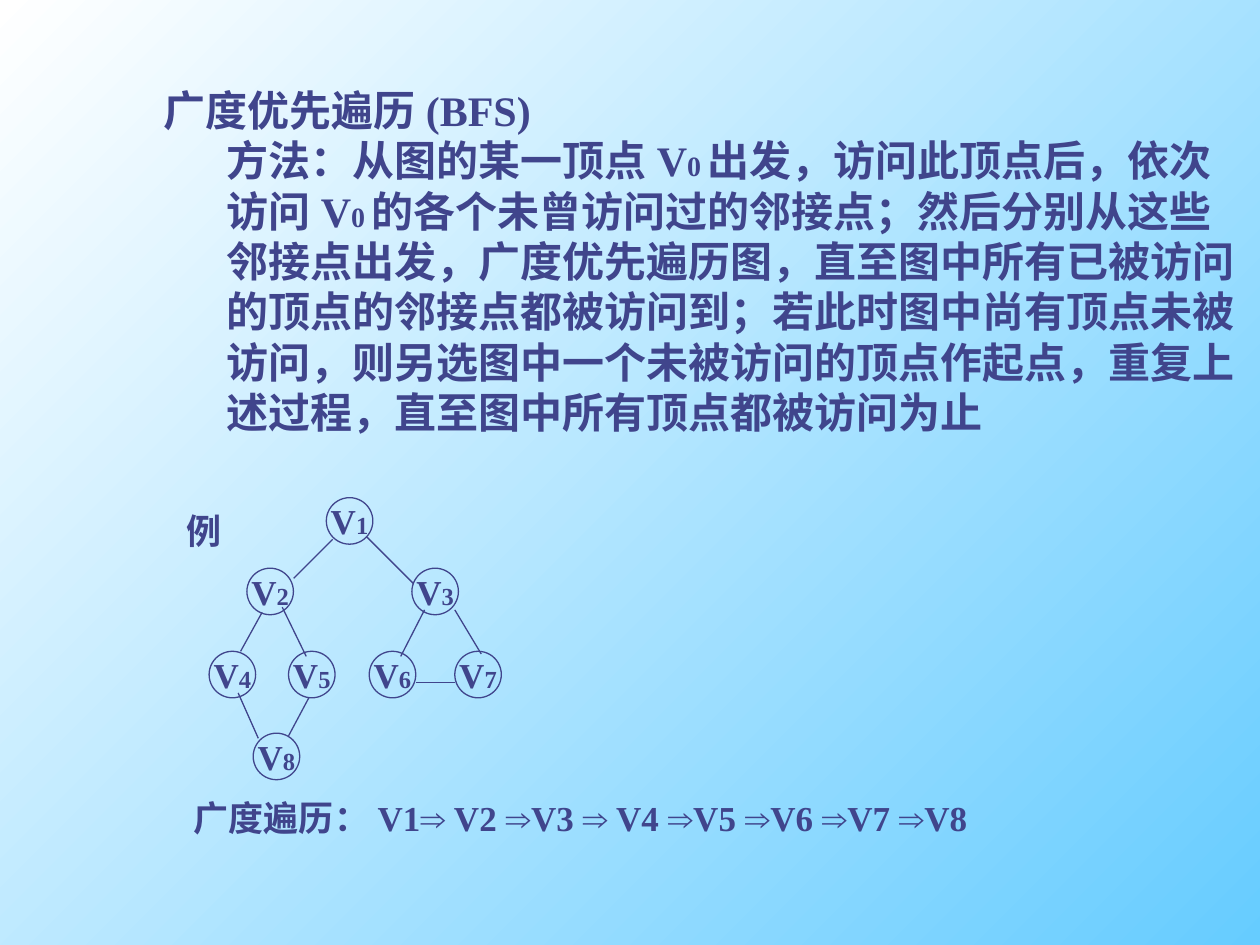
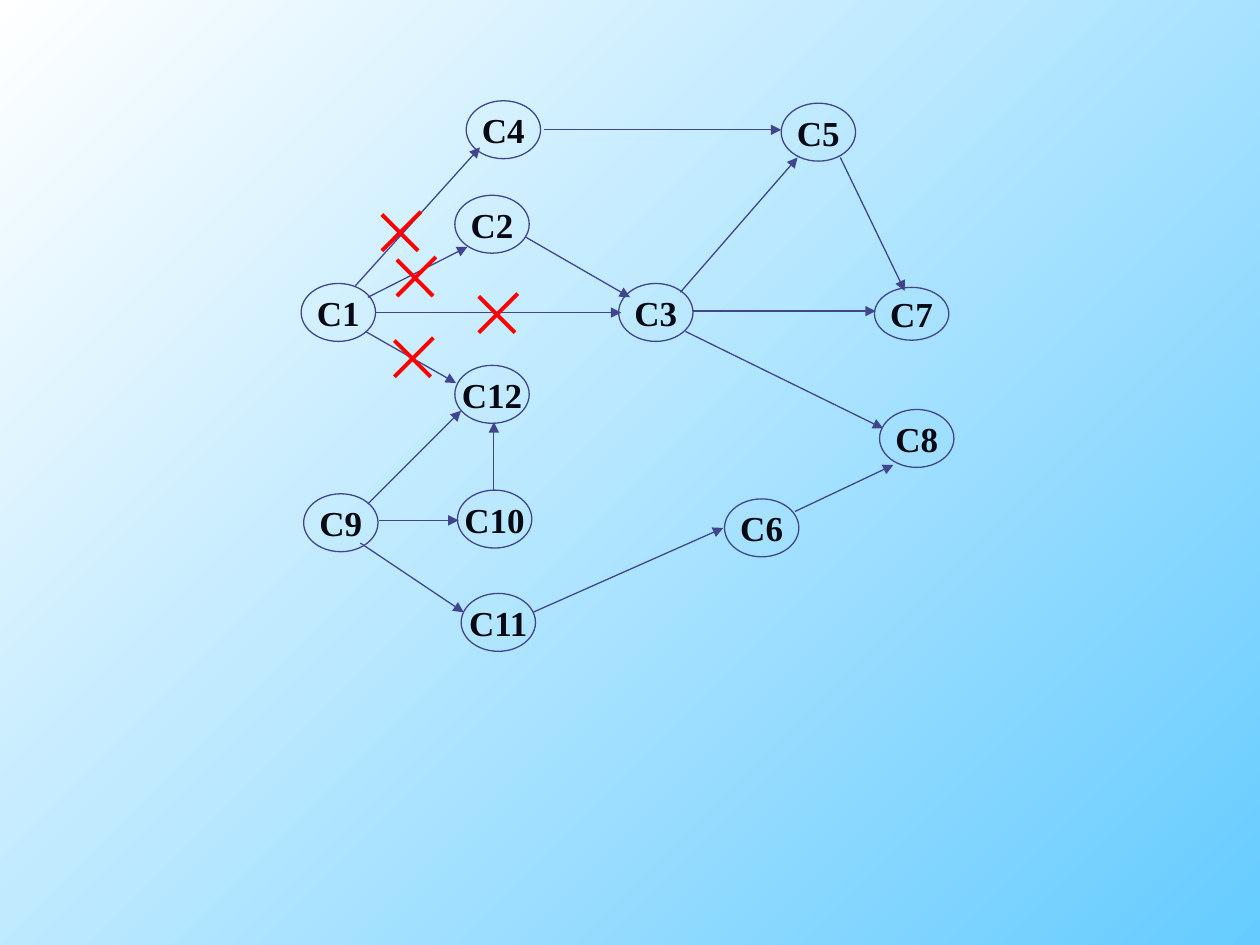
"""Build two slides on graph traversal: breadth-first search and a course graph."""
from lxml.etree import SubElement
from pptx import Presentation
from pptx.dml.color import RGBColor
from pptx.enum.shapes import MSO_CONNECTOR as Connector, MSO_SHAPE as Shape
from pptx.enum.text import MSO_ANCHOR as Anchor, MSO_AUTO_SIZE as AutoSize, PP_ALIGN as Align
from pptx.oxml.ns import qn
from pptx.util import Pt

SKY = RGBColor(0x66, 0xCC, 0xFF)
WHITE = RGBColor(0xFF, 0xFF, 0xFF)
INDIGO = RGBColor(0x40, 0x45, 0x8C)
INK = RGBColor(0x08, 0x09, 0x12)
RED = RGBColor(0xFF, 0x00, 0x00)
SERIF, SANS = "Times New Roman", "Arial"

HEADING = [("广度优先遍历(BFS)", 24)]
METHOD = [
    ("方法：从图的某一顶点V", 24), ("0", 16),
    ("出发，访问此顶点后，依次访问V", 24), ("0", 16),
    ("的各个未曾访问过的邻接点；然后分别从这些邻接点出发，广度优先遍历图，"
     "直至图中所有已被访问的顶点的邻接点都被访问到；若此时图中尚有顶点未被访问，"
     "则另选图中一个未被访问的顶点作起点，重复上述过程，"
     "直至图中所有顶点都被访问为止", 24),
]
METHOD_BOX = (50.4, 44.6, 669.6, 218.9)

EXAMPLE, EXAMPLE_BOX = "例", (99.4, 287.3, 34.6, 31.7)
ARROW = "⇒"
ROUTE = "广度遍历：V1⇒ V2 ⇒V3 ⇒ V4 ⇒V5 ⇒V6 ⇒V7 ⇒V8"
ROUTE_BOX = (103.7, 451.4, 467.3, 31.7)

VERTEX_SIZE = 26.6
VERTEX_LEVELS = [
    (284.4, {"1": 186.5}),
    (324.7, {"2": 141.1, "3": 235.4}),
    (372.2, {"4": 119.5, "5": 164.9, "6": 211, "7": 259.9}),
    (419, {"8": 144.7}),
]
TREE_EDGES = [
    (190.1, 308.2, 167.8, 330.5), (209.5, 306.7, 236.2, 333.4),
    (149.8, 349.9, 137.5, 372.2), (161.3, 347, 175, 375.1),
    (136.1, 396, 147.6, 421.9), (176.4, 398.9, 164.9, 420.5),
    (242.6, 348.5, 229, 375.1), (237.6, 390.2, 259.9, 390.2),
    (259.9, 348.5, 275, 373.7),
]

COURSE_WIDTH, COURSE_HEIGHT = 42.5, 33.1
SHORT_COURSES = {"C7": 30.2}
COURSES = {
    "C1": (172.1, 162), "C2": (259.9, 111.6), "C3": (353.5, 162),
    "C4": (266.4, 57.6), "C5": (446.4, 59), "C6": (414, 285.1),
    "C7": (499.7, 164.2), "C8": (502.6, 234), "C9": (173.5, 282.2),
    "C10": (261.4, 280.1), "C11": (263.5, 339.1), "C12": (259.9, 208.8),
}
COURSE_EDGES = [
    (214.6, 178.6, 355, 178.6), (210.2, 169.9, 267.1, 141.1),
    (300.2, 135.4, 360, 169.9), (203, 163.4, 274.3, 84.2),
    (311, 74.2, 446.4, 74.2), (388.8, 167, 455.8, 90),
    (396, 177.8, 500.4, 177.8), (480.2, 90, 517, 166.3),
    (208.8, 189.4, 260.6, 218.9), (210.2, 288, 263.5, 234.7),
    (216.7, 297.4, 262.1, 297.4), (282.2, 280.1, 282.2, 241.2),
    (205.9, 310.3, 265, 349.9), (304.6, 349.9, 413.3, 301.7),
    (454.3, 292.3, 510.5, 265.7), (391.7, 189.4, 504.7, 244.8),
]
CROSS_SIZE, CROSS_INSET = 22.3, 1.6
CROSSES = [(218.2, 121), (226.8, 146.9), (273.6, 167.8), (225.4, 193)]


def points(values):
    return [Pt(value) for value in values]


def add_run(paragraph, text, size, color=INDIGO, face=SERIF):
    run = paragraph.add_run()
    run.text = text
    run.font.name, run.font.size, run.font.bold = face, Pt(size), True
    run.font.color.rgb = color


def add_node(slide, box, label, color):
    node = slide.shapes.add_shape(Shape.OVAL, *points(box))
    node.shadow.inherit = False
    node.fill.background()
    node.line.color.rgb, node.line.width = INDIGO, Pt(0.75)
    frame = node.text_frame
    frame.word_wrap, frame.vertical_anchor = False, Anchor.MIDDLE
    frame.paragraphs[0].alignment = Align.CENTER
    for text, size in label:
        add_run(frame.paragraphs[0], text, size, color)


def add_line(slide, ends, color=INDIGO, width=0.75, arrow=False):
    line = slide.shapes.add_connector(Connector.STRAIGHT, *points(ends))
    line.line.color.rgb, line.line.width = color, Pt(width)
    if arrow:
        SubElement(line.line._get_or_add_ln(), qn("a:tailEnd"), type="triangle")
    SubElement(line._element.spPr, qn("a:effectLst"))


def add_caption(slide, box):
    frame = slide.shapes.add_textbox(*points(box)).text_frame
    frame.word_wrap, frame.auto_size = False, AutoSize.SHAPE_TO_FIT_TEXT
    return frame


def fill_method(body):
    body.left, body.top, body.width, body.height = points(METHOD_BOX)
    frame = body.text_frame
    frame.auto_size = AutoSize.NONE
    for level, parts in enumerate((HEADING, METHOD), start=1):
        paragraph = frame.paragraphs[0] if level == 1 else frame.add_paragraph()
        paragraph.level = level
        properties = paragraph._p.get_or_add_pPr()
        properties.set("marL", str(Pt(36 * level)))
        properties.set("indent", "0")
        SubElement(properties, qn("a:buNone"))
        paragraph.space_before = Pt(0)
        for text, size in parts:
            add_run(paragraph, text, size)


def build_search(deck):
    slide = deck.slides.add_slide(deck.slide_layouts[1])
    heading = slide.shapes.title._element
    heading.getparent().remove(heading)
    fill_method(slide.placeholders[1])
    for top, vertices in VERTEX_LEVELS:
        for number, left in vertices.items():
            add_node(slide, (left, top, VERTEX_SIZE, VERTEX_SIZE),
                     [("V", 20), (number, 14)], INDIGO)
    for ends in TREE_EDGES:
        add_line(slide, ends)
    example = add_caption(slide, EXAMPLE_BOX)
    example.vertical_anchor = Anchor.MIDDLE
    example.paragraphs[0].alignment = Align.CENTER
    add_run(example.paragraphs[0], EXAMPLE, 20)
    route = add_caption(slide, ROUTE_BOX).paragraphs[0]
    for step, stop in enumerate(ROUTE.split(ARROW)):
        if step:
            add_run(route, ARROW, 20, face=SANS)
        add_run(route, stop, 20)


def build_courses(deck):
    slide = deck.slides.add_slide(deck.slide_layouts[6])
    for course, corner in COURSES.items():
        height = SHORT_COURSES.get(course, COURSE_HEIGHT)
        add_node(slide, (*corner, COURSE_WIDTH, height), [(course, 20)], INK)
    for ends in COURSE_EDGES:
        add_line(slide, ends, arrow=True)
    for left, top in CROSSES:
        right, bottom = left + CROSS_SIZE, top + CROSS_SIZE
        add_line(slide, (left, top + CROSS_INSET, right - CROSS_INSET, bottom), RED, 2.25)
        add_line(slide, (right, top, left, bottom), RED, 2.25)


def main():
    deck = Presentation()
    deck.slide_width, deck.slide_height = Pt(720), Pt(540)
    backdrop = deck.slide_master.background.fill
    backdrop.gradient()
    backdrop.gradient_angle = 135
    for stop, color in zip(backdrop.gradient_stops, (SKY, WHITE)):
        stop.color.rgb = color
    build_search(deck)
    build_courses(deck)
    deck.save("out.pptx")


if __name__ == "__main__":
    main()
